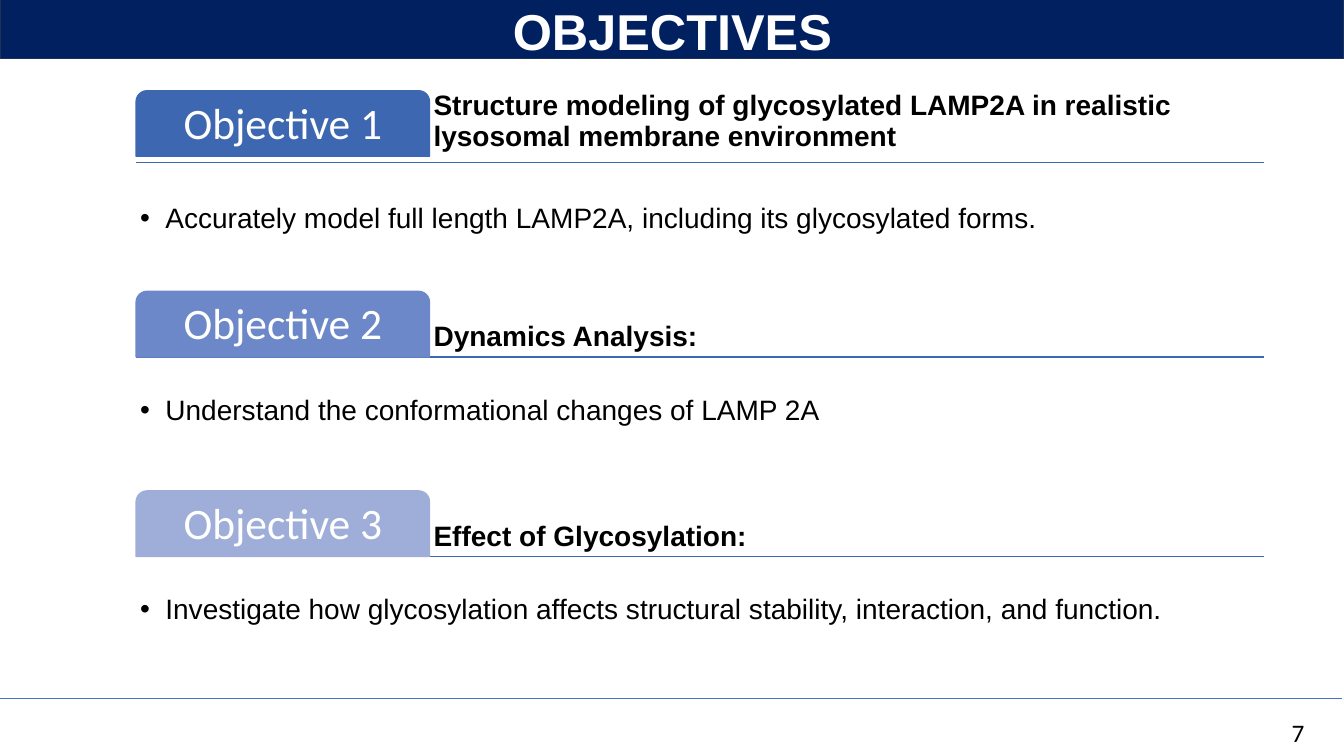
from dataclasses import dataclass
from typing import Any

from lxml import etree
from pptx import Presentation
from pptx import util as u
from pptx.dml.color import RGBColor
from pptx.enum import shapes, text
from pptx.oxml.ns import qn

EMU_PER_PX = 9144
WHITE = RGBColor(0xFF, 0xFF, 0xFF)
BLACK = RGBColor(0x00, 0x00, 0x00)
NAVY = RGBColor(0x00, 0x20, 0x60)
NAVY_EDGE = RGBColor(0x1E, 0x32, 0x56)
FOOTER_BLUE = RGBColor(0x44, 0x72, 0xC4)
BLUE = RGBColor(0x3E, 0x67, 0xB2)
MID_BLUE = RGBColor(0x6C, 0x88, 0xC8)
PALE_BLUE = RGBColor(0x9F, 0xAE, 0xD8)

LEFT, RIGHT, TAB_WIDTH, TAB_HEIGHT, LIST_HEIGHT = 135, 1254, 291, 65, 130
COMPARISON_LAYOUT = 4


@dataclass(frozen=True)
class Objective:
    top: int
    rule_y: int
    list_top: int
    color: RGBColor
    label: str
    heading: str
    point: str


OBJECTIVES = [
    Objective(90, 161, 164, BLUE, "Objective 1",
              "Structure modeling of glycosylated LAMP2A in realistic lysosomal membrane environment",
              "Accurately model full length LAMP2A, including its glycosylated forms."),
    Objective(289, 354, 354, MID_BLUE, "Objective 2", "Dynamics Analysis:",
              "Understand the conformational changes of LAMP 2A"),
    Objective(487, 552, 552, PALE_BLUE, "Objective 3", "Effect of Glycosylation:",
              "Investigate how glycosylation affects structural stability, interaction, and function."),
]


def px(value: int) -> u.Emu:
    return u.Emu(value * EMU_PER_PX)


def set_format(target: Any, values: dict[str, Any]) -> None:
    for name, value in values.items():
        setattr(target, name, value)


def place(shape: Any, left: int, top: int, width: int, height: int) -> None:
    set_format(shape, {"left": px(left), "top": px(top), "width": px(width), "height": px(height)})


def write(shape: Any, words: str, font: dict[str, Any], color: RGBColor,
          frame: dict[str, Any], align: Any = text.PP_ALIGN.LEFT,
          line_spacing: float = 1.0, bullet_indent: int = 0) -> None:
    text_frame = shape.text_frame
    text_frame.text = words
    set_format(text_frame, {"word_wrap": True, "auto_size": text.MSO_AUTO_SIZE.NONE} | frame)
    paragraph = text_frame.paragraphs[0]
    set_format(paragraph, {"alignment": align, "line_spacing": line_spacing, "space_before": u.Pt(0)})
    if bullet_indent:
        properties = paragraph._p.get_or_add_pPr()
        properties.set("marL", str(px(bullet_indent)))
        properties.set("indent", str(-px(bullet_indent)))
        etree.SubElement(properties, qn("a:buFont"), typeface="Arial")
        etree.SubElement(properties, qn("a:buChar"), char="•")
    set_format(paragraph.font, font)
    paragraph.font.color.rgb = color


def margins(size: int, top: int | None = None) -> dict[str, Any]:
    sides = {f"margin_{side}": px(size) for side in ("left", "right", "top", "bottom")}
    return sides if top is None else sides | {"margin_top": px(top)}


def add_box(slide: Any, kind: Any, bounds: tuple[int, int, int, int],
            fill: RGBColor, edge: RGBColor) -> Any:
    shape = slide.shapes.add_shape(kind, *map(px, bounds))
    shape.shadow.inherit = False
    shape.fill.solid()
    shape.fill.fore_color.rgb = fill
    shape.line.color.rgb = edge
    shape.line.width = u.Pt(1)
    return shape


def add_rule(slide: Any, left: int, right: int, y: int, color: RGBColor, points: float) -> None:
    rule = slide.shapes.add_connector(shapes.MSO_CONNECTOR.STRAIGHT, px(left), px(y), px(right), px(y))
    rule.line.color.rgb = color
    rule.line.width = u.Pt(points)
    etree.SubElement(rule._element.spPr, qn("a:effectLst"))


def add_objective(slide: Any, objective: Objective, body: Any) -> None:
    add_rule(slide, LEFT, RIGHT, objective.rule_y, BLUE, 1)

    heading_left = LEFT + TAB_WIDTH
    heading = slide.shapes.add_textbox(px(heading_left), px(objective.top),
                                       px(RIGHT - heading_left), px(TAB_HEIGHT))
    write(heading, objective.heading, {"name": "Arial", "size": u.Pt(20), "bold": True}, BLACK,
          margins(4) | {"vertical_anchor": text.MSO_ANCHOR.BOTTOM}, line_spacing=0.9)

    tab = add_box(slide, shapes.MSO_SHAPE.ROUND_2_SAME_RECTANGLE,
                  (LEFT, objective.top, TAB_WIDTH, TAB_HEIGHT), objective.color, objective.color)
    write(tab, objective.label, {"name": "Calibri", "size": u.Pt(31)}, WHITE,
          margins(6) | {"vertical_anchor": text.MSO_ANCHOR.MIDDLE},
          text.PP_ALIGN.CENTER, line_spacing=0.9)

    place(body, LEFT, objective.list_top, RIGHT - LEFT, LIST_HEIGHT)
    write(body, objective.point, {"name": "Arial", "size": u.Pt(20), "bold": False}, BLACK,
          margins(4, top=39) | {"vertical_anchor": text.MSO_ANCHOR.TOP},
          line_spacing=0.9, bullet_indent=25)


def main() -> None:
    presentation = Presentation()
    set_format(presentation, {"slide_width": px(1333), "slide_height": px(750)})
    slide = presentation.slides.add_slide(presentation.slide_layouts[COMPARISON_LAYOUT])
    title, *bodies = slide.placeholders

    banner = add_box(slide, shapes.MSO_SHAPE.RECTANGLE, (0, -1, 1333, 59), NAVY, NAVY_EDGE)
    title._element.addprevious(banner._element)
    place(title, 165, -5, 1004, 71)
    write(title, "OBJECTIVES", {"name": "Arial", "size": u.Pt(36), "bold": True}, WHITE,
          {"vertical_anchor": text.MSO_ANCHOR.TOP}, text.PP_ALIGN.CENTER)

    add_rule(slide, 0, 1331, 693, FOOTER_BLUE, 0.5)
    for objective, body in zip(OBJECTIVES, bodies):
        add_objective(slide, objective, body)
    for spare in bodies[len(OBJECTIVES):]:
        spare._element.getparent().remove(spare._element)

    number = slide.shapes.add_textbox(px(1204), px(707), px(167), px(40))
    write(number, "7", {"name": "Calibri", "size": u.Pt(18)}, BLACK, {}, text.PP_ALIGN.CENTER)

    presentation.save("out.pptx")


if __name__ == "__main__":
    main()
